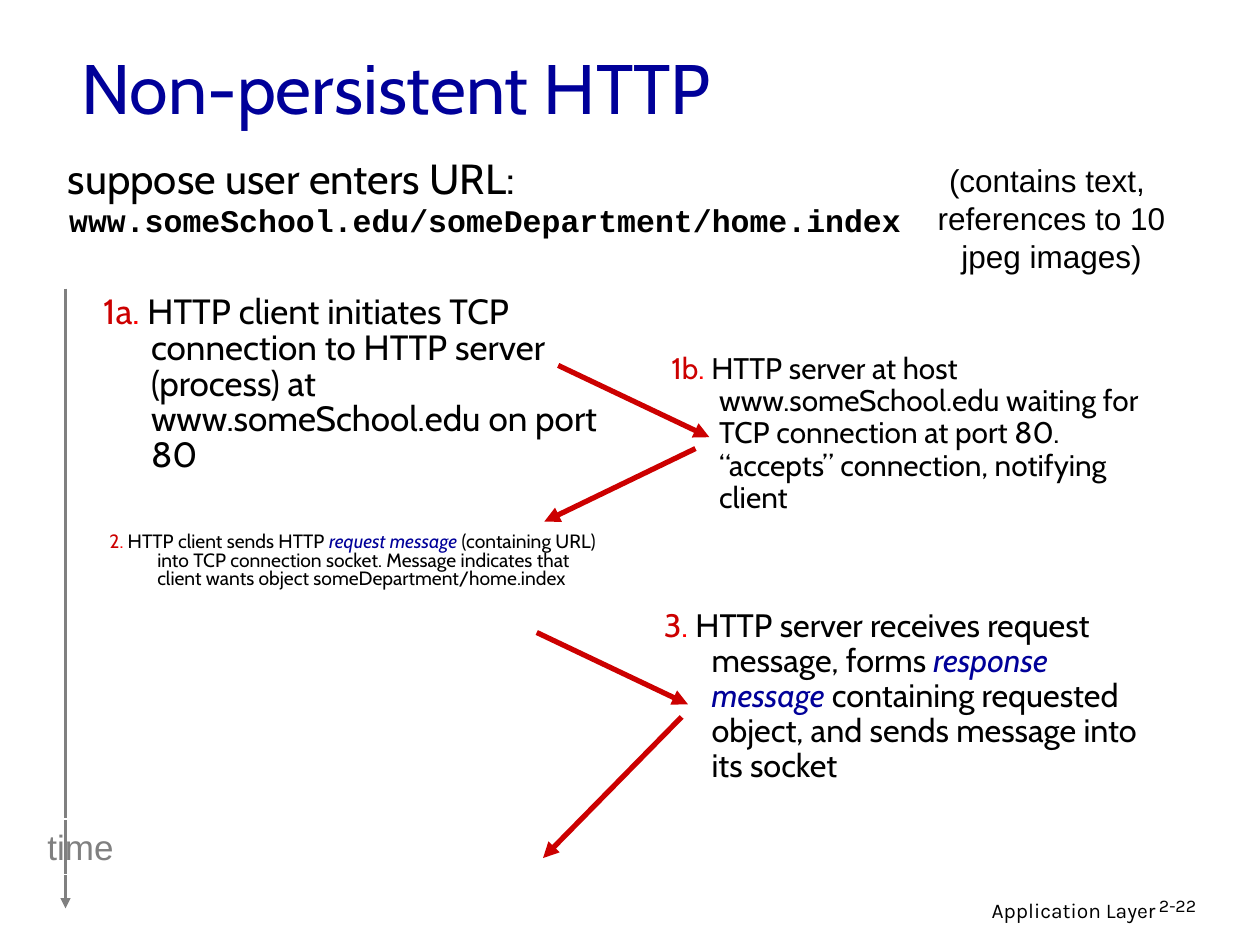
import pptx
import pptx.util
import pptx.dml.color
import pptx.enum.shapes
import pptx.enum.text
import pptx.oxml.ns
import lxml.etree

Inches = pptx.util.Inches
Pt = pptx.util.Pt
ALIGN = pptx.enum.text.PP_ALIGN

COLORS = {
    "black": "000000",
    "navy": "000099",
    "crimson": "CC0000",
    "red": "FF0000",
    "gray": "808080",
    "white": "FFFFFF",
}

HANGING = 0.38

LABELS = [
    {"at": (6.1, 7.07, 3.17, 0.31), "font": "Karla", "size": 12, "align": ALIGN.RIGHT,
     "lines": ["Application Layer"]},
    {"at": (9.1, 7.07, 0.74, 0.3), "font": "Karla", "size": 10.2, "spacing": 0.9,
     "lines": ["2-22"]},
    {"at": (0.55, 0.21, 8.5, 0.95), "font": "Cabin", "size": 40, "color": "navy",
     "anchor": pptx.enum.text.MSO_ANCHOR.MIDDLE, "lines": ["Non-persistent HTTP"]},
    {"at": (0.44, 1.22, 8.69, 0.51), "font": "Cabin", "size": 24, "spacing": 0.85,
     "hanging": True, "lines": ["suppose user enters URL:"]},
    {"at": (0.45, 1.59, 8.69, 0.51), "font": "Courier New", "size": 18, "spacing": 0.85,
     "hanging": True, "bold": True,
     "lines": ["www.someSchool.edu/someDepartment/home.index"]},
    {"at": (7.31, 1.23, 2.07, 1), "font": "Arial", "size": 18, "align": ALIGN.CENTER,
     "wrap": False, "lines": ["(contains text, ", "references to 10 ", "jpeg images)"]},
]

STEPS = [
    ("1a", (0.72, 2.3, 4.31, 2.08), 20, 0.85, [
        (" HTTP client initiates TCP connection to HTTP server (process) at "
         "www.someSchool.edu on port 80", False)]),
    ("1b", (5.23, 2.76, 4.17, 1.65), 17, 0.9, [
        (" HTTP server at host www.someSchool.edu waiting for TCP connection at port 80. "
         "“accepts” connection, notifying client", False)]),
    ("2", (0.77, 4.19, 4.17, 1.18), 11, 0.8, [
        (" HTTP client sends HTTP ", False),
        ("request message", True),
        (" (containing URL) into TCP connection socket. Message indicates that "
         "client wants object someDepartment/home.index", False)]),
    ("3", (5.17, 4.79, 4.17, 1.97), 18.5, 0.9, [
        (" HTTP server receives request message, forms ", False),
        ("response message", True),
        (" containing requested object, and sends message into its socket", False)]),
]

TIMELINE = ((0.52, 2.29), (0.52, 7.21))
TIME_AT = (0.28, 6.5, 0.72, 0.44)
MESSAGES = [
    ((4.43, 2.9), (5.63, 3.47)),
    ((5.52, 3.56), (4.32, 4.14)),
    ((4.26, 5.02), (5.46, 5.59)),
    ((5.41, 5.69), (4.31, 6.81)),
]


def rgb(name):
    return pptx.dml.color.RGBColor.from_string(COLORS[name])


def style(run, font, size, color="black", bold=False, italic=False):
    run.font.name = font
    run.font.size = Pt(size)
    run.font.bold = bold
    run.font.italic = italic
    run.font.color.rgb = rgb(color)


def hang(paragraph):
    properties = paragraph._p.get_or_add_pPr()
    properties.set("marL", str(Inches(HANGING)))
    properties.set("indent", str(-Inches(HANGING)))


def add_box(slide, at, wrap=True):
    frame = slide.shapes.add_textbox(*map(Inches, at)).text_frame
    frame.word_wrap = wrap
    return frame


def add_label(slide, label):
    frame = add_box(slide, label["at"], label.get("wrap", True))
    frame.vertical_anchor = label.get("anchor", pptx.enum.text.MSO_ANCHOR.TOP)
    frame.text = "\n".join(label["lines"])
    for paragraph in frame.paragraphs:
        paragraph.alignment = label.get("align", ALIGN.LEFT)
        paragraph.line_spacing = label.get("spacing", 1.0)
        if label.get("hanging"):
            hang(paragraph)
        for run in paragraph.runs:
            style(run, label["font"], label["size"], label.get("color", "black"),
                  label.get("bold", False))


def add_step(slide, number, at, size, spacing, wording):
    paragraph = add_box(slide, at).paragraphs[0]
    paragraph.line_spacing = spacing
    hang(paragraph)
    parts = [(number, "crimson", False), (".", "red", False)]
    parts += [(text, "navy" if term else "black", term) for text, term in wording]
    for text, color, italic in parts:
        run = paragraph.add_run()
        run.text = text
        style(run, "Cabin", size, color, italic=italic)


def add_arrow(slide, start, end, color, width):
    arrow = slide.shapes.add_connector(
        pptx.enum.shapes.MSO_CONNECTOR.STRAIGHT, *map(Inches, start + end))
    arrow.line.color.rgb = rgb(color)
    arrow.line.width = Pt(width)
    qn = pptx.oxml.ns.qn
    lxml.etree.SubElement(arrow.line._get_or_add_ln(), qn("a:tailEnd"), type="triangle")
    lxml.etree.SubElement(arrow._element.spPr, qn("a:effectLst"))


def add_time_label(slide):
    time = slide.shapes.add_shape(
        pptx.enum.shapes.MSO_SHAPE.RECTANGLE, *map(Inches, TIME_AT))
    time.shadow.inherit = False
    time.fill.background()
    time.line.color.rgb = rgb("white")
    time.line.width = Pt(0.75)
    time.text_frame.word_wrap = False
    time.text_frame.text = "time"
    paragraph = time.text_frame.paragraphs[0]
    paragraph.alignment = ALIGN.CENTER
    style(paragraph.runs[0], "Arial", 20, "gray")


def main():
    deck = pptx.Presentation()
    deck.slide_width, deck.slide_height = Inches(10), Inches(7.5)
    slide = deck.slides.add_slide(deck.slide_layouts[6])
    add_arrow(slide, *TIMELINE, "gray", 1.5)
    add_time_label(slide)
    for label in LABELS:
        add_label(slide, label)
    for step in STEPS:
        add_step(slide, *step)
    for start, end in MESSAGES:
        add_arrow(slide, start, end, "crimson", 3)
    deck.save("out.pptx")


if __name__ == "__main__":
    main()
